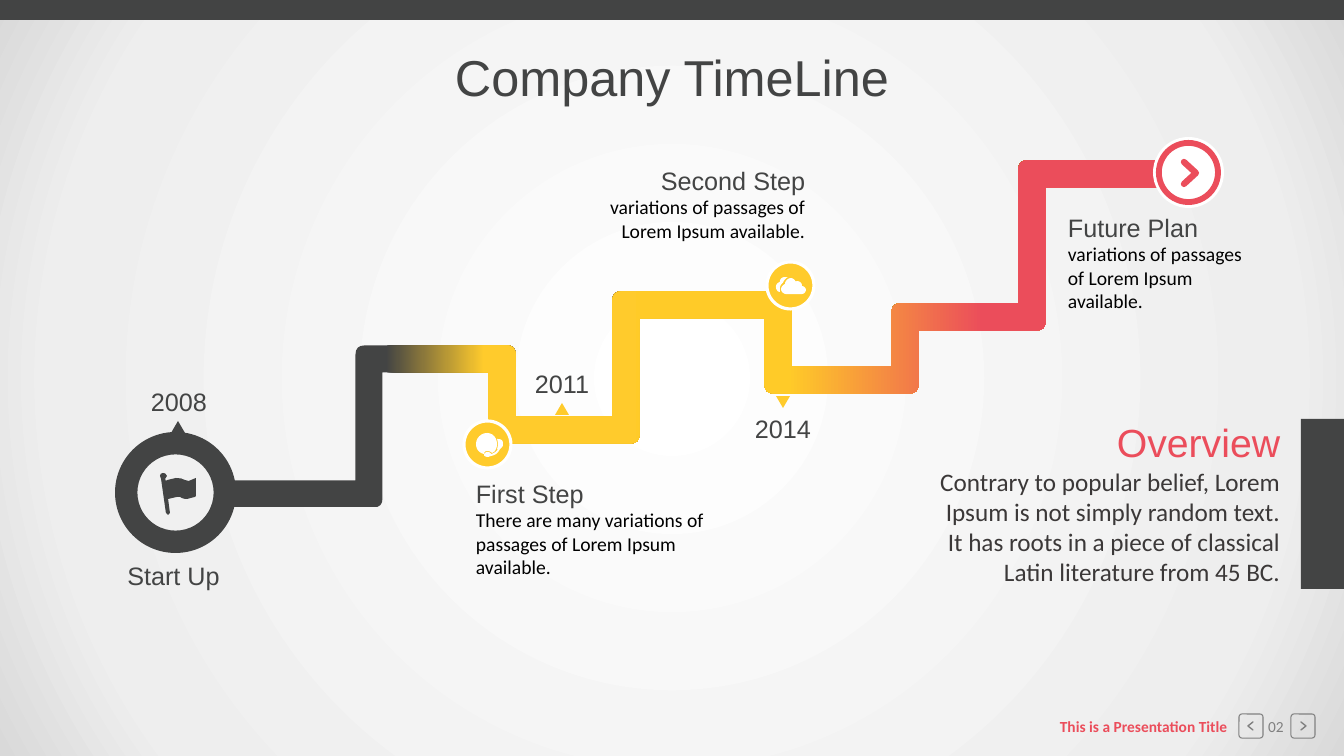
from lxml import etree
from pptx import Presentation
from pptx import util as u
from pptx.dml.color import RGBColor
from pptx.enum import shapes, text
from pptx.oxml import ns

EMU_PER_PX = 914400 / 100.8
COLORS = {
    "dark": "434444", "yellow": "FFCB2C", "amber": "FFCB28", "red": "EB4D5B",
    "white": "FFFFFF", "black": "000000", "body": "3B3838", "gray": "808080",
    "mist": "EEEEEE", "edge": "D9D9D9",
}
LEFT, CENTER, RIGHT = text.PP_ALIGN.LEFT, text.PP_ALIGN.CENTER, text.PP_ALIGN.RIGHT
PRESET = shapes.MSO_SHAPE

ROUTE = [(225, 494), (369, 494), (369, 359), (502, 359), (502, 430), (626, 430), (626, 305),
         (778, 305), (778, 380), (905, 380), (905, 317), (1032, 317), (1032, 174), (1170, 174)]
ROUTE_COLORS = [(386, "dark"), (484, "yellow"), (788, "amber"), (983, "red")]

FLAG = [(97, 12), (78, 19), (68, 17), (57, 13), (43, 12), (19, 17), (16, 19), (14, 14), (19, 7),
        (14, 1), (8, 0), (2, 2), (0, 7), (3, 14), (16, 95), (22, 100), (27, 95), (22, 62),
        (46, 57), (54, 57), (60, 60), (68, 62), (73, 62), (95, 57), (97, 55)]
FRONT_CLOUD = [(100, 76), (100, 88), (93, 100), (87, 100), (87, 100), (33, 100), (33, 100),
               (27, 100), (17, 88), (17, 71), (17, 59), (23, 47), (30, 41), (30, 24), (40, 6),
               (50, 6), (57, 6), (63, 18), (67, 29), (67, 24), (70, 24), (70, 24), (80, 24),
               (87, 35), (87, 53), (93, 53), (100, 65), (100, 76)]
BACK_CLOUD = [(23, 35), (27, 18), (33, 6), (40, 0), (37, 0), (33, 0), (30, 0), (20, 0), (13, 12),
              (13, 29), (3, 35), (0, 47), (0, 59), (0, 76), (7, 88), (13, 88), (13, 82), (13, 76),
              (13, 71), (13, 53), (17, 41), (23, 35)]
FRONT_BUBBLE = [(30, 88), (30, 79), (33, 75), (44, 75), (48, 75), (56, 79), (59, 83), (63, 83),
                (63, 79), (67, 79), (74, 71), (78, 58), (78, 46), (78, 21), (63, 0), (41, 0),
                (19, 0), (0, 21), (0, 46), (0, 67), (11, 83), (30, 88)]
BACK_BUBBLE = [(81, 46), (81, 54), (81, 58), (78, 67), (78, 67), (81, 67), (81, 67), (78, 75),
               (70, 83), (56, 88), (56, 83), (48, 79), (44, 79), (37, 79), (30, 83), (30, 92),
               (30, 96), (37, 100), (44, 100), (48, 100), (52, 96), (56, 96), (78, 92), (85, 75),
               (89, 67), (93, 63), (93, 63), (93, 63), (100, 58), (100, 50), (100, 46), (100, 38),
               (100, 25), (81, 25), (81, 25), (78, 25), (78, 25), (81, 33), (81, 42), (81, 46)]


def px(length):
    """Turn pixels into EMU."""
    return u.Emu(round(length * EMU_PER_PX))


def rgb(name):
    """Look up a named colour."""
    return RGBColor.from_string(COLORS[name])


def set_gradient(element, stops, direction):
    """Fill the gradient found inside an element with stops and a direction."""
    gradient = element.find(".//" + ns.qn("a:gradFill"))
    for child in list(gradient):
        gradient.remove(child)
    stop_list = etree.SubElement(gradient, ns.qn("a:gsLst"))
    for percent, name in stops:
        stop = etree.SubElement(stop_list, ns.qn("a:gs"), pos=str(round(percent * 1000)))
        etree.SubElement(stop, ns.qn("a:srgbClr"), val=COLORS[name])
    if direction == "circle":
        shade = etree.SubElement(gradient, ns.qn("a:path"), path="circle")
        etree.SubElement(shade, ns.qn("a:fillToRect"), l="50000", t="50000", r="50000", b="50000")
    else:
        etree.SubElement(gradient, ns.qn("a:lin"), ang="0", scaled="0")


def paint(shape, fill=None, line=None, width=1):
    """Give a shape a flat fill and line without shadow."""
    shape.shadow.inherit = False
    if fill:
        shape.fill.solid()
        shape.fill.fore_color.rgb = rgb(fill)
    else:
        shape.fill.background()
    if line:
        shape.line.color.rgb = rgb(line)
        shape.line.width = u.Pt(width)
    else:
        shape.line.fill.background()
    return shape


def add_preset(slide, kind, box, adjustment=None, **style):
    """Add a preset shape in a pixel box."""
    shape = slide.shapes.add_shape(kind, *map(px, box))
    if adjustment is not None:
        shape.adjustments[0] = adjustment
    return paint(shape, **style)


def add_outline(slide, points, close=True, **style):
    """Add a freeform through pixel points."""
    points = [(px(x), px(y)) for x, y in points]
    builder = slide.shapes.build_freeform(*points[0], scale=1.0)
    builder.add_line_segments(points[1:], close=close)
    return paint(builder.convert_to_shape(), **style)


def add_icon(slide, box, points, fill):
    """Add an outline given in percent of a pixel box."""
    left, top, width, height = box
    add_outline(slide, [(left + x * width / 100, top + y * height / 100) for x, y in points],
                fill=fill)


def bezier(points, steps=6):
    """Sample a chain of cubic curves."""
    samples = [points[0]]
    for first in range(0, len(points) - 3, 3):
        for step in range(1, steps + 1):
            t = step / steps
            weights = [(1 - t) ** 3, 3 * t * (1 - t) ** 2, 3 * t * t * (1 - t), t ** 3]
            curve = points[first:first + 4]
            samples.append(tuple(sum(w * point[axis] for w, point in zip(weights, curve))
                                 for axis in (0, 1)))
    return samples


def add_chevron(slide, tip, reach, rise, color, width):
    """Add an open chevron with round ends."""
    x, y = tip
    points = [(x - reach, y - rise), tip, (x - reach, y + rise)]
    shape = add_outline(slide, points, close=False, line=color, width=width)
    shape.line._get_or_add_ln().set("cap", "rnd")


def route_side(route, half, radius=9):
    """Offset a right-angled route to its left and round its outer corners."""
    headings = []
    for (x0, y0), (x1, y1) in zip(route, route[1:]):
        length = abs(x1 - x0) + abs(y1 - y0)
        headings.append(((x1 - x0) / length, (y1 - y0) / length))
    (x, y), (dx, dy) = route[0], headings[0]
    side = [(x + half * dy, y - half * dx)]
    for (x, y), (ax, ay), (bx, by) in zip(route[1:], headings, headings[1:]):
        corner_x, corner_y = x + half * (ay + by), y - half * (ax + bx)
        bend = radius if ax * by - ay * bx > 0 else 0
        for t in ((0, 0.25, 0.5, 0.75, 1) if bend else (0,)):
            back, ahead = bend * (1 - t) ** 2, bend * t * t
            side.append((corner_x - ax * back + bx * ahead, corner_y - ay * back + by * ahead))
    (x, y), (dx, dy) = route[-1], headings[-1]
    return side + [(x + half * dy, y - half * dx)]


def add_route(slide):
    """Add the stepped timeline band with its colour run."""
    points = route_side(ROUTE, 13.5) + route_side(ROUTE[::-1], 13.5)
    band = add_outline(slide, points, fill="dark")
    start, length = ROUTE[0][0], ROUTE[-1][0] - ROUTE[0][0]
    band.fill.gradient()
    set_gradient(band._element.spPr,
                 [((x - start) / length * 100, name) for x, name in ROUTE_COLORS], "across")


def write(paragraph, words, size=18, font="Arial", color="dark", align=LEFT, bold=False):
    """Put formatted words into a paragraph."""
    paragraph.alignment = align
    run = paragraph.add_run()
    run.text = words
    run.font.size, run.font.name, run.font.bold = u.Pt(size), font, bold
    run.font.color.rgb = rgb(color)


def add_text(slide, box, words, detail=None, **style):
    """Add a text box with a line and an optional detail paragraph."""
    frame = slide.shapes.add_textbox(*map(px, box)).text_frame
    frame.word_wrap = True
    write(frame.paragraphs[0], words, **style)
    if detail:
        write(frame.add_paragraph(), detail, size=14, font="Calibri", color="black",
              align=style.get("align", LEFT))


def add_title(slide, words):
    """Fill and place the title placeholder."""
    title = slide.shapes.title
    title.left, title.top, title.width, title.height = map(px, (0, 41, 1344, 72))
    title.text_frame.auto_size = text.MSO_AUTO_SIZE.NONE
    title.text_frame.vertical_anchor = text.MSO_ANCHOR.TOP
    write(title.text_frame.paragraphs[0], words, size=36, align=CENTER)


def add_footer(slide):
    """Add the running title, page number and page buttons."""
    add_text(slide, (1050, 712, 195, 29), "This is a Presentation Title", size=11,
             font="Calibri", color="red", bold=True)
    for left, tip, reach in ((1239, 1248, -5), (1291, 1306, 5)):
        add_preset(slide, PRESET.ROUNDED_RECTANGLE, (left, 714, 24, 24), 0.12,
                   line="gray", width=0.75)
        add_chevron(slide, (tip, 726), reach, 4, "gray", 1)
    add_text(slide, (1254, 712, 44, 29), "02", size=11, font="Calibri", color="gray", align=CENTER)


def main():
    """Build the timeline slide."""
    presentation = Presentation()
    presentation.slide_width, presentation.slide_height = px(1344), px(756)
    slide = presentation.slides.add_slide(presentation.slide_layouts[5])
    slide.background.fill.gradient()
    set_gradient(slide._element, [(0, "white"), (81, "mist"), (100, "edge")], "circle")
    add_preset(slide, PRESET.RECTANGLE, (0, 0, 1344, 20), fill="dark")
    add_title(slide, "Company TimeLine")

    add_route(slide)
    add_preset(slide, PRESET.DONUT, (115, 432, 121, 121), 0.185, fill="dark")
    add_icon(slide, (160, 473, 37, 42), FLAG, "dark")
    for left, top in ((464, 421), (767, 262)):
        add_preset(slide, PRESET.OVAL, (left, top, 47, 47), fill="yellow", line="white", width=2.25)
    for box, icons in (((476, 433, 27, 24), (FRONT_BUBBLE, BACK_BUBBLE)),
                       ((776, 277, 30, 17), (FRONT_CLOUD, BACK_CLOUD))):
        for points in icons:
            add_icon(slide, box, bezier(points), "white")
    add_preset(slide, PRESET.OVAL, (1153, 137, 71, 71), fill="white")
    add_preset(slide, PRESET.DONUT, (1156, 140, 65, 65), 0.09, fill="red")
    add_chevron(slide, (1196, 173), 12, 11, "red", 4.5)

    for year, box, mark, color in (("2008", (121, 381, 116, 40), (171, 421), "dark"),
                                   ("2011", (513, 363, 98, 40), (555, 403), "yellow"),
                                   ("2014", (734, 408, 98, 40), (776, 396), "yellow")):
        add_text(slide, box, year, align=CENTER)
        marker = add_preset(slide, PRESET.ISOSCELES_TRIANGLE, (*mark, 14, 12), fill=color)
        if mark[1] < box[1]:
            marker.rotation = 180

    passages = "variations of passages of Lorem Ipsum available."
    add_text(slide, (115, 555, 117, 40), "Start Up", align=CENTER)
    add_text(slide, (466, 473, 268, 112), "First Step", "There are many " + passages)
    add_text(slide, (589, 160, 226, 89), "Second Step", passages, align=RIGHT)
    add_text(slide, (1058, 207, 211, 112), "Future Plan", passages)

    add_text(slide, (918, 461, 372, 132), "Contrary to popular belief, Lorem Ipsum is not simply "
             "random text. It has roots in a piece of classical Latin literature from 45 BC.",
             font="Calibri", color="body", align=RIGHT)
    add_text(slide, (1095, 413, 195, 58), "Overview", size=28, color="red", align=RIGHT)
    add_preset(slide, PRESET.RECTANGLE, (1301, 419, 43, 170), fill="dark")
    add_footer(slide)
    presentation.save("out.pptx")


if __name__ == "__main__":
    main()
